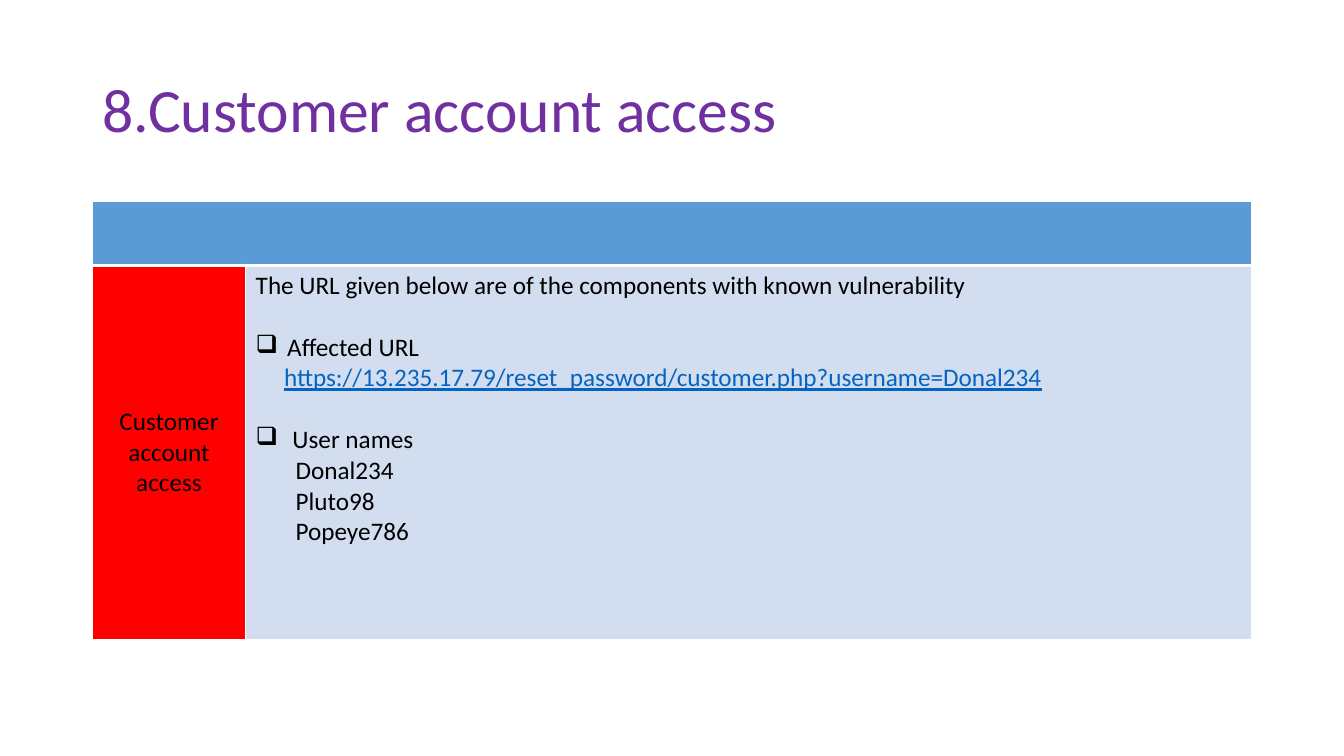
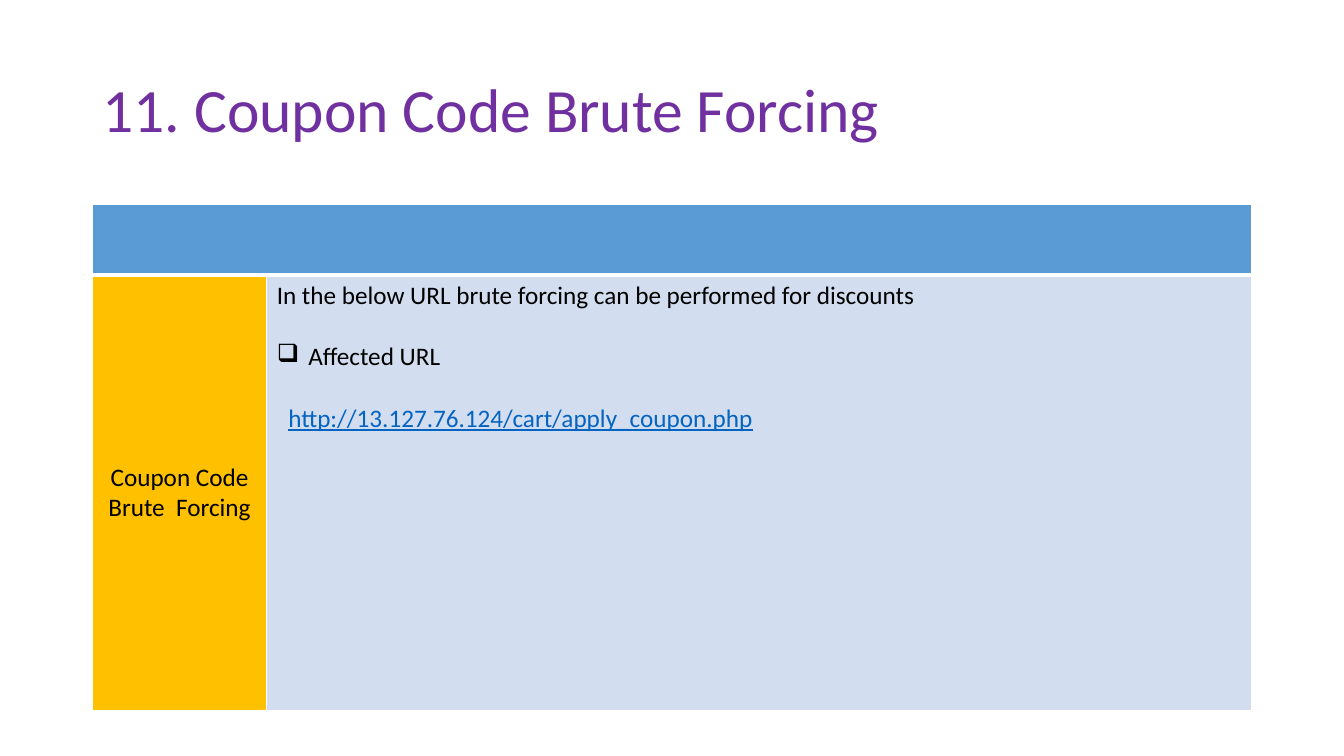
"""Build two vulnerability report slides, each with a title and a finding table."""
from lxml import etree
from pptx import Presentation
from pptx import util as u
from pptx.dml.color import RGBColor
from pptx.enum import text
from pptx.oxml import ns

FONT = "Calibri"
PURPLE, BLACK, LINK, WHITE = "7030A0", "000000", "0563C1", "FFFFFF"
HEADER, BODY, RED, AMBER = "5B9BD5", "D2DEEF", "FF0000", "FFC000"
LEFT, WIDTH = 88, 1104
TITLE_TOP, TITLE_HEIGHT = 38, 139
GAP = u.Pt(22)

# Each line: style, indent in px, gap before, words
SLIDES = [
    dict(title="8.Customer account access", label="Customer account access",
         fill=RED, top=192, label_width=146, rows=(61, 356), lines=[
             ("plain", 0, False, "The URL given below are of the components with known vulnerability"),
             ("bullet", 30, True, "Affected URL"),
             ("link", 27, False, "https://13.235.17.79/reset_password/customer.php?username=Donal234"),
             ("bullet", 35, True, "User names"),
             ("plain", 38, False, "Donal234"),
             ("plain", 38, False, "Pluto98"),
             ("plain", 38, False, "Popeye786")]),
    dict(title="11. Coupon Code Brute Forcing", label="Coupon Code Brute  Forcing",
         fill=AMBER, top=195, label_width=166, rows=(67, 415), lines=[
             ("plain", 0, False, "In the below URL brute forcing can be performed for discounts"),
             ("bullet", 30, True, "Affected URL"),
             ("link", 11, True, "http://13.127.76.124/cart/apply_coupon.php")]),
]


def px(n):
    return u.Emu(n * 9525)


def rgb(value):
    return RGBColor.from_string(value)


def style(p, size, color, underline=None):
    for r in p.runs:
        r.font.name, r.font.size = FONT, u.Pt(size)
        r.font.color.rgb = rgb(color)
        r.font.underline = underline


def format_cell(cell, fill, top, bottom):
    tcPr = cell._tc.get_or_add_tcPr()
    for side, points in zip("LRTB", (1, 1, top, bottom)):
        ln = etree.SubElement(tcPr, ns.qn("a:ln" + side), w=str(u.Pt(points)))
        solid = etree.SubElement(ln, ns.qn("a:solidFill"))
        etree.SubElement(solid, ns.qn("a:srgbClr"), val=WHITE)
    cell.fill.solid()
    cell.fill.fore_color.rgb = rgb(fill)


def add_title(s, words):
    title = s.shapes.title
    title.left, title.top = px(LEFT), px(TITLE_TOP)
    title.width, title.height = px(WIDTH), px(TITLE_HEIGHT)
    tf = title.text_frame
    tf.text = words
    tf.auto_size = text.MSO_AUTO_SIZE.NONE
    tf.vertical_anchor = text.MSO_ANCHOR.MIDDLE
    p = tf.paragraphs[0]
    p.alignment, p.line_spacing = text.PP_ALIGN.LEFT, 0.9
    style(p, 44, PURPLE)


def fill_lines(tf, lines):
    tf.text = "\n".join(line[-1] for line in lines)
    for p, (kind, indent, gap, _) in zip(tf.paragraphs, lines):
        pPr = p._p.get_or_add_pPr()
        pPr.set("marL", str(px(indent)))
        pPr.set("indent", str(px(-indent if kind == "bullet" else 0)))
        if kind == "bullet":
            etree.SubElement(pPr, ns.qn("a:buChar"), char="❑")
        if gap:
            p.space_before = GAP
        is_link = kind == "link"
        style(p, 18, LINK if is_link else BLACK, is_link or None)


def add_finding(s, data):
    table = s.shapes.add_table(2, 2, px(LEFT), px(data["top"]), px(WIDTH),
                               px(sum(data["rows"]))).table
    label_width = data["label_width"]
    for column, width in zip(table.columns, (label_width, WIDTH - label_width)):
        column.width = px(width)
    for row, height in zip(table.rows, data["rows"]):
        row.height = px(height)
    for cell in table.rows[0].cells:
        format_cell(cell, HEADER, 1, 3)
    table.cell(0, 0).merge(table.cell(0, 1))
    label, body = table.rows[1].cells
    format_cell(label, data["fill"], 3, 1)
    format_cell(body, BODY, 3, 1)
    label.vertical_anchor = text.MSO_ANCHOR.MIDDLE
    label.text_frame.text = data["label"]
    p = label.text_frame.paragraphs[0]
    p.alignment = text.PP_ALIGN.CENTER
    style(p, 18, BLACK)
    fill_lines(body.text_frame, data["lines"])


def main():
    prs = Presentation()
    prs.slide_width, prs.slide_height = px(1280), px(720)
    for data in SLIDES:
        s = prs.slides.add_slide(prs.slide_layouts[5])
        add_title(s, data["title"])
        add_finding(s, data)
    prs.save("out.pptx")


if __name__ == "__main__":
    main()
